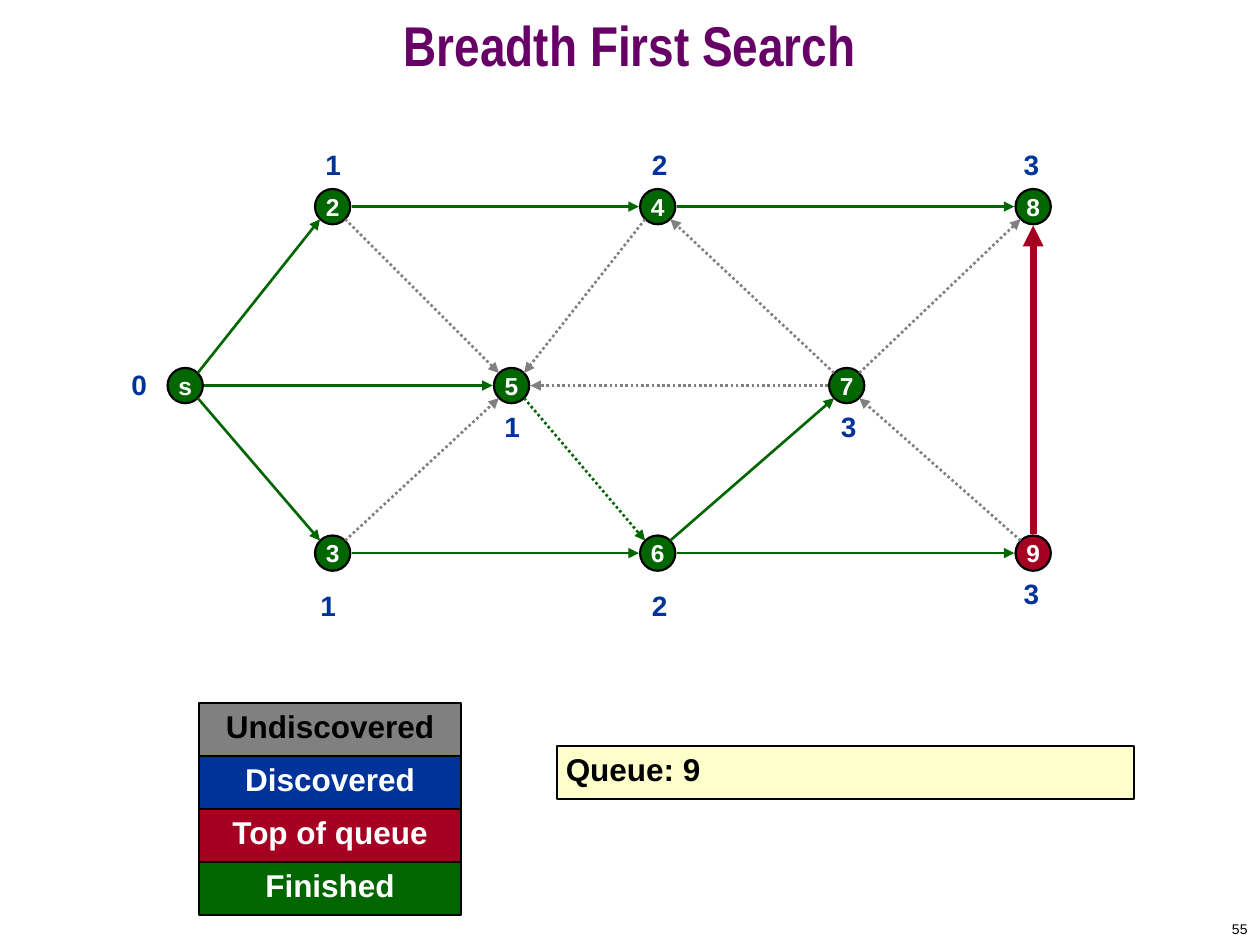
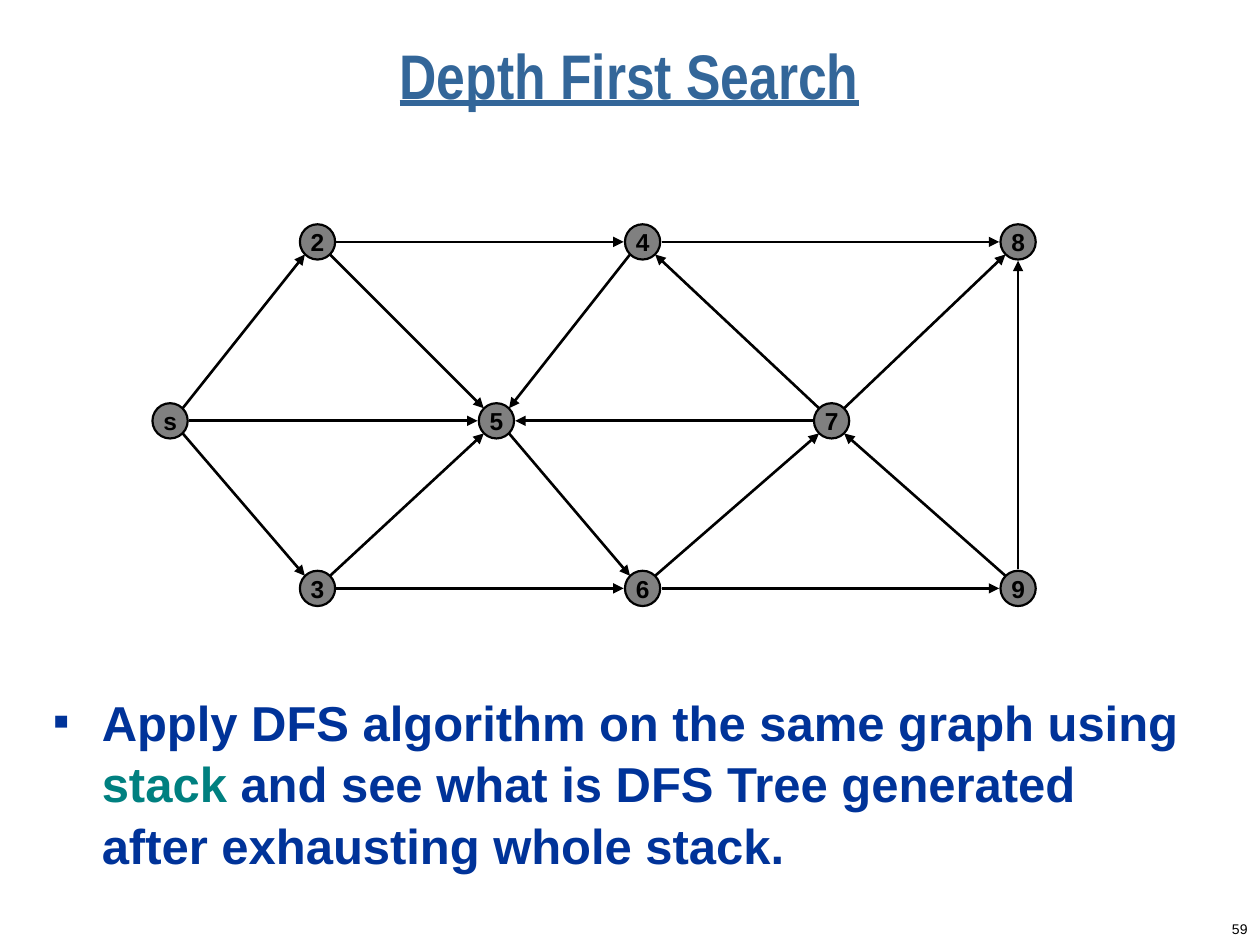
"""Build two slides that show breadth first and depth first search on one graph."""
from lxml.etree import SubElement
from pptx import Presentation
from pptx.dml.color import RGBColor
from pptx.enum.dml import MSO_LINE
from pptx.enum.shapes import MSO_CONNECTOR, MSO_SHAPE
from pptx.enum.text import MSO_ANCHOR, MSO_AUTO_SIZE, PP_ALIGN
from pptx.oxml.ns import qn
from pptx.util import Inches, Pt

BLACK = RGBColor(0x00, 0x00, 0x00)
WHITE = RGBColor(0xFF, 0xFF, 0xFF)
GRAY = RGBColor(0x80, 0x80, 0x80)
GREEN = RGBColor(0x00, 0x66, 0x00)
RED = RGBColor(0xA5, 0x00, 0x21)
BLUE = RGBColor(0x00, 0x33, 0x99)
TEAL = RGBColor(0x00, 0x80, 0x80)
CREAM = RGBColor(0xFF, 0xFF, 0xCC)
PURPLE = RGBColor(0x66, 0x00, 0x66)
STEEL = RGBColor(0x33, 0x66, 0x99)

NODE_SIZE = 0.28
SIDE_REACH = 0.15
CORNER_REACH = 0.1
TOP, MIDDLE, BOTTOM = 1.64, 3.06, 4.39
CENTERS = {
    "s": (1.47, MIDDLE), "5": (4.06, MIDDLE), "7": (6.72, MIDDLE),
    "2": (2.64, TOP), "4": (5.22, TOP), "8": (8.2, TOP),
    "3": (2.64, BOTTOM), "6": (5.22, BOTTOM), "9": (8.2, BOTTOM),
}
EDGES = ["s2", "s5", "s3", "24", "25", "35", "36", "45", "48",
         "56", "67", "69", "74", "75", "78", "97", "98"]
TREE_EDGES = ["s2", "s5", "s3", "24", "36", "48", "67", "69"]

bfs_edges = {edge: (GREEN, 1.5, None) if edge in TREE_EDGES
             else (GRAY, 1.5, MSO_LINE.ROUND_DOT) for edge in EDGES}
bfs_edges["56"] = (GREEN, 1.5, MSO_LINE.ROUND_DOT)
bfs_edges["98"] = (RED, 4, None)
dfs_edges = dict.fromkeys(EDGES, (BLACK, 1.5, None))
bfs_fills = {**dict.fromkeys(CENTERS, GREEN), "9": RED}
dfs_fills = dict.fromkeys(CENTERS, GRAY)


def write(frame, runs, size, align=PP_ALIGN.CENTER, anchor=MSO_ANCHOR.TOP,
          margins=(0, 0, 0, 0), wrap=True, spacing=None, **font_values):
    """Fill a text frame with one paragraph of (text, colour) runs."""
    left, top, right, bottom = map(Inches, margins)
    frame_values = {"word_wrap": wrap, "auto_size": MSO_AUTO_SIZE.NONE,
                    "vertical_anchor": anchor, "margin_left": left, "margin_top": top,
                    "margin_right": right, "margin_bottom": bottom}
    for attribute, value in frame_values.items():
        setattr(frame, attribute, value)
    paragraph = frame.paragraphs[0]
    paragraph.alignment = align
    paragraph.line_spacing = spacing
    for text, color in runs:
        run = paragraph.add_run()
        run.text = text
        font_format = {"name": "Arial", "size": Pt(size), "bold": True, **font_values}
        for attribute, value in font_format.items():
            setattr(run.font, attribute, value)
        run.font.color.rgb = color
    return paragraph


def add_box(slide, kind, place, fill, text, color, size, **text_values):
    """Add a black-edged shape with text."""
    box = slide.shapes.add_shape(kind, *map(Inches, place))
    box.shadow.inherit = False
    box.fill.solid()
    box.fill.fore_color.rgb = fill
    box.line.color.rgb = BLACK
    box.line.width = Pt(1.25)
    write(box.text_frame, [(text, color)], size, **text_values)


deck = Presentation()
deck.slide_width, deck.slide_height = Inches(10), Inches(7.5)

searches = [
    ("Breadth First Search", (0, 0, 10, 0.83), PURPLE, 32, False, "55",
     (0, 0), bfs_fills, WHITE, bfs_edges),
    ("Depth First Search", (0.58, 0.25, 8.83, 0.83), STEEL, 36, True, "59",
     (-0.12, 0.28), dfs_fills, BLACK, dfs_edges),
]
slides = []
for (heading, heading_place, heading_color, heading_size, underline, page,
     (shift_x, shift_y), node_fills, node_color, edge_styles) in searches:
    slide = deck.slides.add_slide(deck.slide_layouts[5])
    slides.append(slide)

    title = slide.shapes.title
    title.left, title.top, title.width, title.height = map(Inches, heading_place)
    write(title.text_frame, [(heading, heading_color)], heading_size,
          anchor=MSO_ANCHOR.MIDDLE, margins=(0.1, 0.05, 0.1, 0.05), spacing=0.7,
          name="Arial Narrow", underline=underline)

    page_number = slide.shapes.add_textbox(*map(Inches, (7.92, 7.25, 2.08, 0.25)))
    write(page_number.text_frame, [(page, BLACK)], 8, align=PP_ALIGN.RIGHT,
          anchor=MSO_ANCHOR.MIDDLE, margins=(0.1, 0.05, 0.1, 0.05), bold=False)

    for node, (x, y) in CENTERS.items():
        place = (x + shift_x - NODE_SIZE / 2, y + shift_y - NODE_SIZE / 2,
                 NODE_SIZE, NODE_SIZE)
        add_box(slide, MSO_SHAPE.OVAL, place, node_fills[node], node, node_color, 14,
                anchor=MSO_ANCHOR.MIDDLE, wrap=False)

    for (start, end), (color, width, dash) in edge_styles.items():
        (x1, y1), (x2, y2) = CENTERS[start], CENTERS[end]
        reach = CORNER_REACH if x1 != x2 and y1 != y2 else SIDE_REACH
        step_x = reach * ((x2 > x1) - (x2 < x1))
        step_y = reach * ((y2 > y1) - (y2 < y1))
        arrow = slide.shapes.add_connector(
            MSO_CONNECTOR.STRAIGHT,
            Inches(x1 + shift_x + step_x), Inches(y1 + shift_y + step_y),
            Inches(x2 + shift_x - step_x), Inches(y2 + shift_y - step_y))
        arrow.line.color.rgb = color
        arrow.line.width = Pt(width)
        if dash:
            arrow.line.dash_style = dash
        SubElement(arrow.line._get_or_add_ln(), qn("a:tailEnd"), type="triangle")
        SubElement(arrow._element.spPr, qn("a:effectLst"))

bfs, dfs = slides

distances = [
    ("0", 0.92, 2.92), ("1", 2.46, 1.17), ("1", 2.42, 4.67),
    ("1", 3.88, 3.25), ("2", 5.05, 1.17), ("2", 5.05, 4.67),
    ("3", 8, 1.17), ("3", 6.55, 3.25), ("3", 8, 4.58),
]
for distance, left, top in distances:
    label = bfs.shapes.add_textbox(*map(Inches, (left, top, 0.37, 0.27)))
    write(label.text_frame, [(distance, BLUE)], 16)

legend = [("Undiscovered", GRAY, BLACK), ("Discovered", BLUE, WHITE),
          ("Top of queue", RED, WHITE), ("Finished", GREEN, WHITE)]
for row, (state, fill, color) in enumerate(legend):
    add_box(bfs, MSO_SHAPE.RECTANGLE, (1.58, 5.58 + row * 0.42, 2.08, 0.42),
            fill, state, color, 18, margins=(0, 0.03, 0, 0))

add_box(bfs, MSO_SHAPE.RECTANGLE, (4.42, 5.92, 4.58, 0.42), CREAM, "Queue: 9", BLACK, 18,
        align=PP_ALIGN.LEFT, margins=(0.07, 0.03, 0, 0))

task = dfs.shapes.add_textbox(*map(Inches, (0.33, 5.42, 9.17, 1.67)))
task_line = write(
    task.text_frame,
    [("Apply DFS algorithm on the same graph using ", BLUE), ("stack", TEAL),
     (" and see what is DFS Tree generated after exhausting whole stack.", BLUE)],
    28, align=PP_ALIGN.LEFT, margins=(0.1, 0.05, 0.1, 0.05), spacing=1.05)
bullet = task_line._p.get_or_add_pPr()
bullet.set("marL", str(Inches(0.38)))
bullet.set("indent", str(-Inches(0.38)))
SubElement(SubElement(bullet, qn("a:buClr")), qn("a:srgbClr"), val=str(BLUE))
SubElement(bullet, qn("a:buSzPct"), val="50000")
SubElement(bullet, qn("a:buFont"), typeface="Arial")
SubElement(bullet, qn("a:buChar"), char="■")

deck.save("out.pptx")
